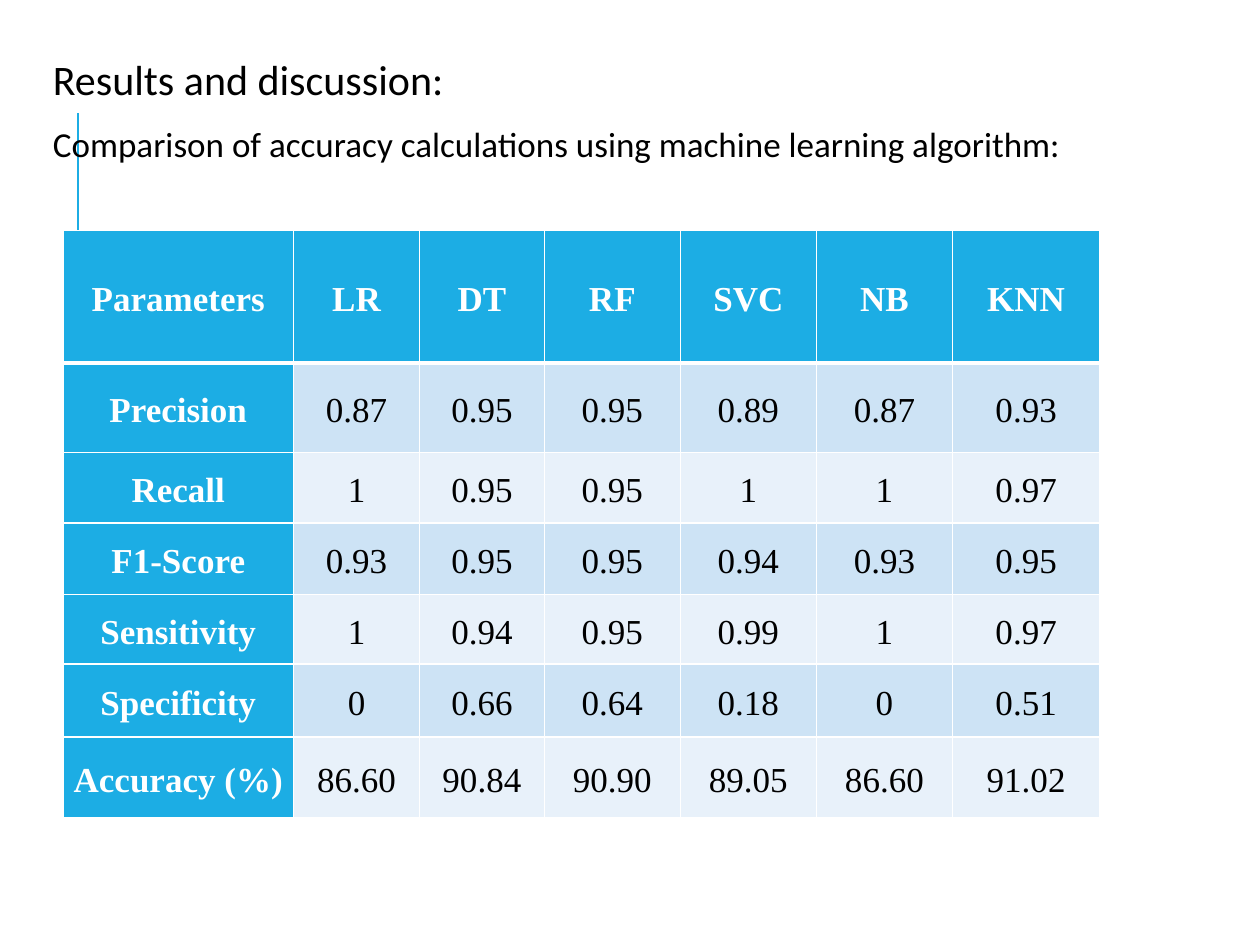
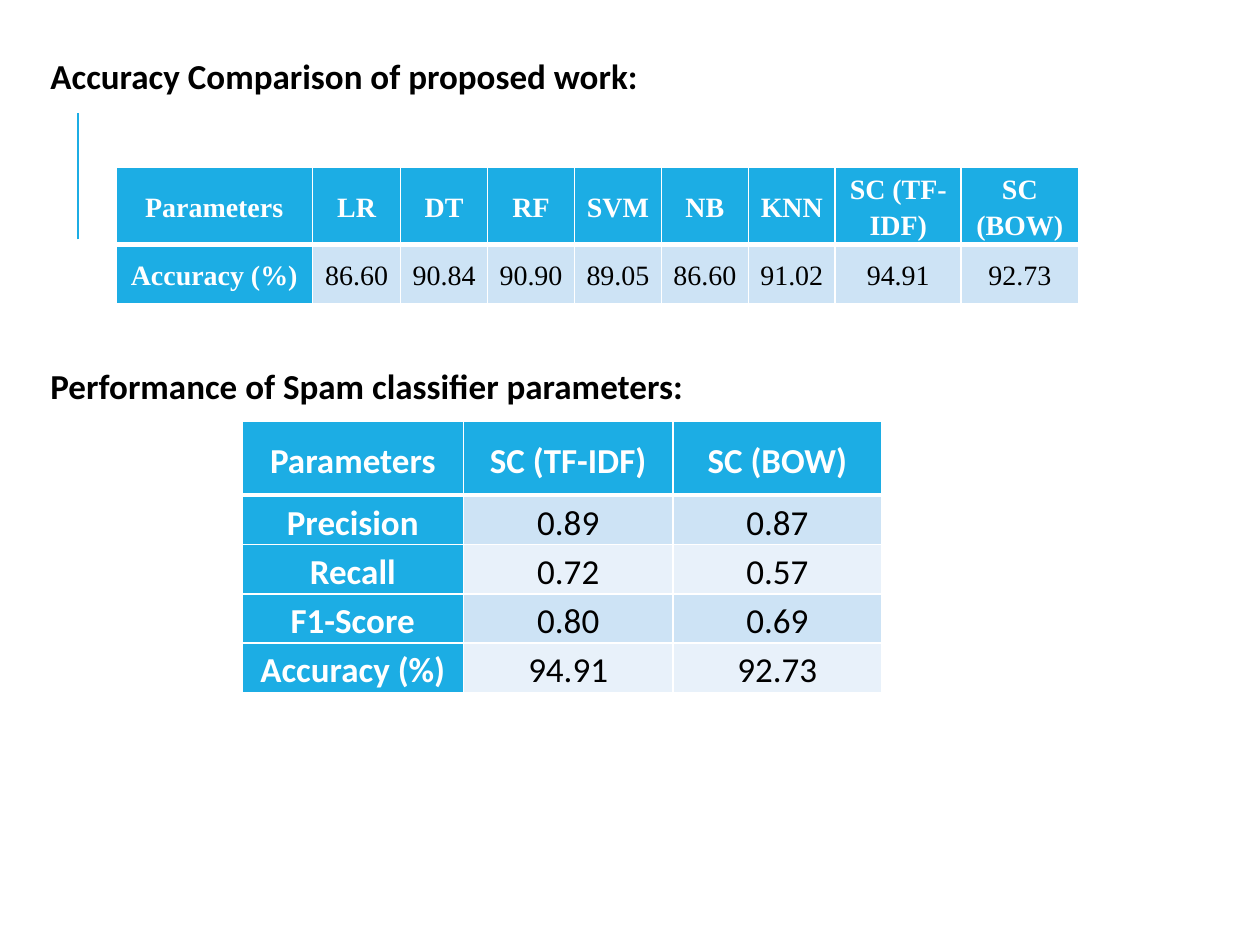
from lxml import etree
from pptx import Presentation
from pptx.dml.color import RGBColor
from pptx.enum.shapes import MSO_CONNECTOR
from pptx.enum.text import MSO_ANCHOR, MSO_AUTO_SIZE, PP_ALIGN
from pptx.oxml.ns import qn
from pptx.util import Inches, Pt

BLUE = RGBColor(0x1C, 0xAD, 0xE4)
PALE = RGBColor(0xCD, 0xE3, 0xF5)
LIGHT = RGBColor(0xE8, 0xF1, 0xFA)
WHITE = RGBColor(0xFF, 0xFF, 0xFF)
BLACK = RGBColor(0, 0, 0)
SANS, SERIF = "Calibri", "Times New Roman"
LINE = MSO_CONNECTOR.STRAIGHT
TOP, MIDDLE = MSO_ANCHOR.TOP, MSO_ANCHOR.MIDDLE
LEFT, CENTER = PP_ALIGN.LEFT, PP_ALIGN.CENTER
FIXED = MSO_AUTO_SIZE.NONE

SLIDES = [
    {
        "title": ("Results and discussion:", 24),
        "sub": ("Comparison of accuracy calculations using machine learning algorithm:", 0.96),
        "bold": False,
        "indent": 0.17,
        "tables": [
            {
                "at": (0.5, 1.83), "font": SERIF, "size": 20,
                "cols": [1.83, 1, 0.99, 1.08, 1.08, 1.08, 1.17],
                "rows": [1.05, 0.71, 0.56, 0.57, 0.55, 0.58, 0.64],
                "data": [
                    ("Parameters", "LR", "DT", "RF", "SVC", "NB", "KNN"),
                    ("Precision", "0.87", "0.95", "0.95", "0.89", "0.87", "0.93"),
                    ("Recall", "1", "0.95", "0.95", "1", "1", "0.97"),
                    ("F1-Score", "0.93", "0.95", "0.95", "0.94", "0.93", "0.95"),
                    ("Sensitivity", "1", "0.94", "0.95", "0.99", "1", "0.97"),
                    ("Specificity", "0", "0.66", "0.64", "0.18", "0", "0.51"),
                    ("Accuracy (%)", "86.60", "90.84", "90.90", "89.05", "86.60", "91.02"),
                ],
            },
        ],
    },
    {
        "title": ("Accuracy Comparison of proposed work:", 20),
        "sub": ("Performance of Spam classifier parameters:", 2.88),
        "bold": True,
        "indent": 0.15,
        "tables": [
            {
                "at": (0.92, 1.33), "font": SERIF, "size": 16,
                "cols": [1.56, 0.7] + [0.69] * 5 + [1, 0.93],
                "rows": [0.61, 0.47],
                "data": [
                    ("Parameters", "LR", "DT", "RF", "SVM", "NB", "KNN", "SC (TF-IDF)", "SC (BOW)"),
                    ("Accuracy (%)", "86.60", "90.84", "90.90", "89.05", "86.60", "91.02", "94.91", "92.73"),
                ],
            },
            {
                "at": (1.92, 3.34), "font": SANS, "size": 20,
                "cols": [1.76, 1.66, 1.66],
                "rows": [0.59, 0.37, 0.37, 0.36, 0.37],
                "data": [
                    ("Parameters", "SC (TF-IDF)", "SC (BOW)"),
                    ("Precision", "0.89", "0.87"),
                    ("Recall", "0.72", "0.57"),
                    ("F1-Score", "0.80", "0.69"),
                    ("Accuracy (%)", "94.91", "92.73"),
                ],
            },
        ],
    },
]


def style(para, font, size, color, bold, align, space):
    para.font.name, para.font.size = font, Pt(size)
    para.font.color.rgb, para.font.bold = color, bold
    para.alignment, para.line_spacing = align, space


def head(shape, text, size, top, bold, indent):
    shape.left, shape.top = Inches(0.25), Inches(top)
    shape.width, shape.height = Inches(8.75), Inches(0.45)
    frame = shape.text_frame
    frame.word_wrap, frame.auto_size = True, FIXED
    frame.vertical_anchor = TOP
    frame.margin_left = Inches(indent)
    frame.margin_right = frame.margin_top = frame.margin_bottom = Inches(0.05)
    frame.text = text
    style(frame.paragraphs[0], SANS, size, BLACK, bold, LEFT, 0.9)


def rule(slide):
    line = slide.shapes.add_connector(LINE, Inches(0.62), Inches(1.9), Inches(0.62), Inches(0.9))
    line.line.color.rgb, line.line.width = BLUE, Pt(1.5)
    etree.SubElement(line._element.spPr, qn("a:effectLst"))


def edge(cell, row):
    widths = {"L": 1, "R": 1, "T": 3 if row == 1 else 1, "B": 3 if row == 0 else 1}
    props = cell._tc.get_or_add_tcPr()
    for spot, (side, width) in enumerate(widths.items()):
        line = etree.Element(qn(f"a:ln{side}"), w=str(Pt(width)))
        fill = etree.SubElement(line, qn("a:solidFill"))
        etree.SubElement(fill, qn("a:srgbClr"), val=str(WHITE))
        props.insert(spot, line)


def grid(slide, item):
    cols, rows = item["cols"], item["rows"]
    left, top = item["at"]
    table = slide.shapes.add_table(
        len(rows), len(cols), Inches(left), Inches(top),
        Inches(sum(cols)), Inches(sum(rows))).table
    table.first_col = True
    for col, width in zip(table.columns, cols):
        col.width = Inches(width)
    for row, height in zip(table.rows, rows):
        row.height = Inches(height)
    for r, line in enumerate(item["data"]):
        for c, text in enumerate(line):
            cell = table.cell(r, c)
            label = r == 0 or c == 0
            cell.text = text
            cell.vertical_anchor = MIDDLE
            cell.margin_left = cell.margin_right = Inches(0.07)
            cell.margin_top = cell.margin_bottom = 0
            cell.fill.solid()
            cell.fill.fore_color.rgb = BLUE if label else PALE if r % 2 else LIGHT
            style(cell.text_frame.paragraphs[0], item["font"], item["size"],
                  WHITE if label else BLACK, label, CENTER, 1.15)
            edge(cell, r)


def main():
    deck = Presentation()
    deck.slide_width, deck.slide_height = Inches(10), Inches(7.5)
    for page in SLIDES:
        slide = deck.slides.add_slide(deck.slide_layouts[5])
        rule(slide)
        text, size = page["title"]
        head(slide.shapes.title, text, size, 0.42, page["bold"], page["indent"])
        text, top = page["sub"]
        box = slide.shapes.add_textbox(0, 0, 0, 0)
        head(box, text, 20, top, page["bold"], page["indent"])
        for item in page["tables"]:
            grid(slide, item)
    deck.save("out.pptx")


if __name__ == "__main__":
    main()
